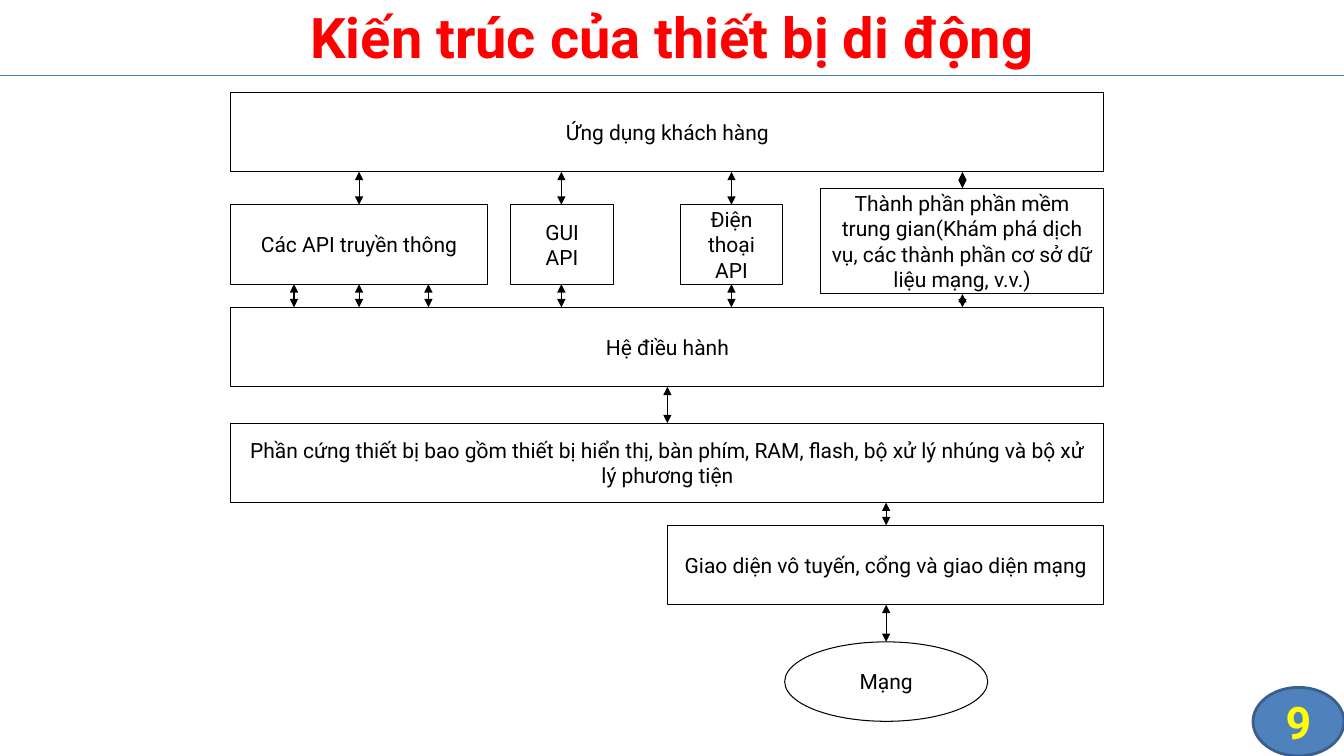
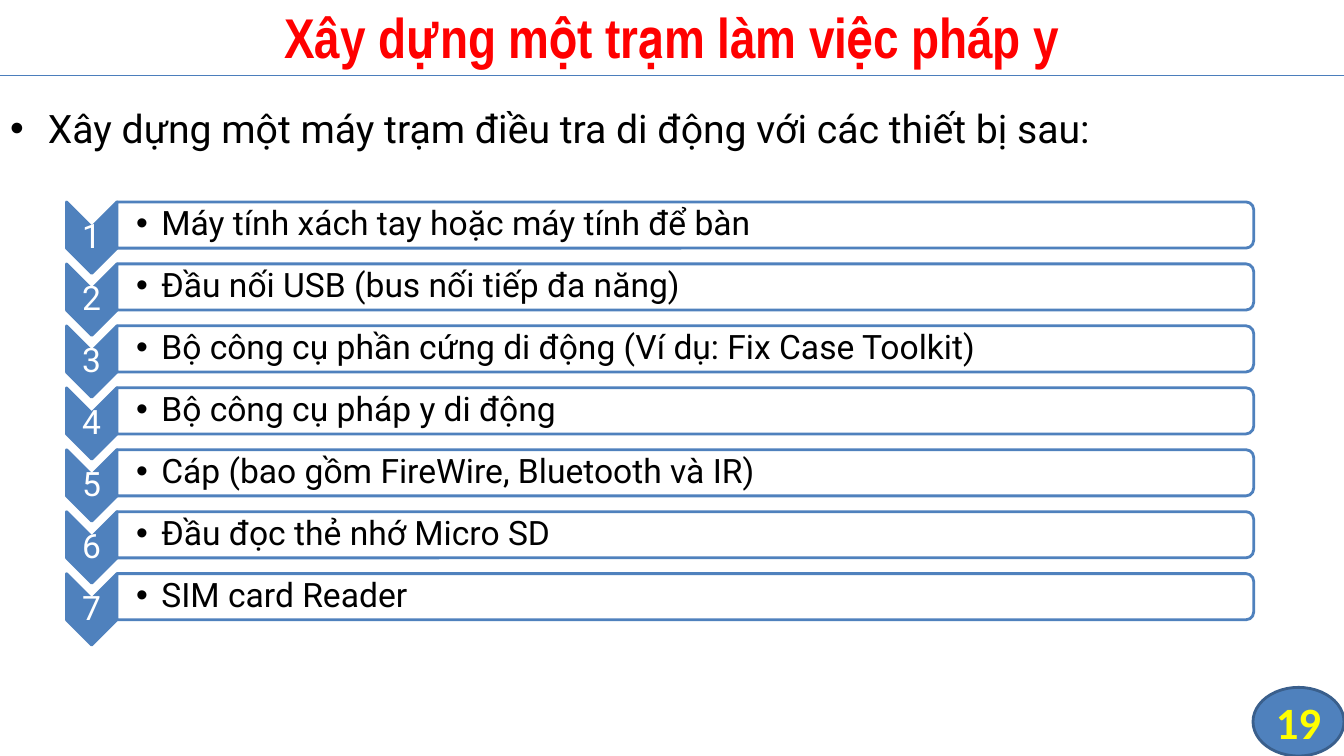
"""Build two slides on mobile device architecture and a forensic workstation."""

import dataclasses
import typing

import lxml.etree
import pptx
import pptx.dml.color
import pptx.enum.shapes
import pptx.enum.text
import pptx.oxml.ns
import pptx.presentation
import pptx.shapes.autoshape
import pptx.shapes.base
import pptx.shapes.connector
import pptx.slide
import pptx.text.text
import pptx.util

Pt = pptx.util.Pt
Shape = pptx.enum.shapes.MSO_SHAPE
Align = pptx.enum.text.PP_ALIGN
Anchor = pptx.enum.text.MSO_ANCHOR

BLUE, DARK_BLUE, RULE_BLUE = "4F81BD", "3A5F8C", "4B7EBC"
RED, YELLOW, BLACK, WHITE = "FF0000", "FFFF00", "000000", "FFFFFF"

SLIDE_WIDTH, SLIDE_HEIGHT = 960, 540
TITLE_TOP, TITLE_HEIGHT = -2, 56
RULE_TOP = 54
BADGE = (895, 491, 65, 49)

BOX_LEFT, BOX_WIDTH, BOX_HEIGHT = 165, 623.5, 56.75
API_TOP = 146.25

STEP_TOP, STEP_PITCH = 144.25, 44.25
CHEVRON_LEFT, CHEVRON_WIDTH, CHEVRON_HEIGHT = 47.5, 36, 51
BAR_WIDTH, BAR_HEIGHT = 812, 33


@dataclasses.dataclass(frozen=True)
class TextStyle:
    """Font and alignment of a text."""

    size: float
    color: str = BLACK
    name: str = "Roboto"
    bold: bool = False
    align: Align = Align.CENTER
    spacing: float = 1.0


@dataclasses.dataclass(frozen=True)
class Box:
    """A labelled block of the architecture diagram."""

    lines: tuple[str, ...]
    top: float
    left: float = BOX_LEFT
    width: float = BOX_WIDTH
    height: float = BOX_HEIGHT
    kind: Shape = Shape.RECTANGLE


@dataclasses.dataclass(frozen=True)
class Link:
    """Two-headed arrows between an upper and a lower block."""

    upper: str
    lower: str
    centers: tuple[float, ...]


LABEL = TextStyle(15)
NUMBER = TextStyle(24, WHITE, spacing=0.9)
ITEM = TextStyle(24, align=Align.LEFT, spacing=0.9)
BODY = TextStyle(28, align=Align.LEFT, spacing=1.14)

BOXES = {
    "client": Box(("Ứng dụng khách hàng",), 66),
    "communication": Box(("Các API truyền thông",), API_TOP, width=183),
    "gui": Box(("GUI", "API"), API_TOP, 365, 73),
    "phone": Box(("Điện thoại", "API"), API_TOP, 486, 73),
    "middleware": Box(
        ("Thành phần phần mềm trung gian(Khám phá dịch vụ, các thành phần cơ sở dữ liệu mạng, v.v.)",),
        134.5, 586, 202.5, 75.5,
    ),
    "system": Box(("Hệ điều hành",), 219.5),
    "hardware": Box(
        ("Phần cứng thiết bị bao gồm thiết bị hiển thị, bàn phím, RAM, flash, bộ xử lý nhúng và bộ xử lý phương tiện",),
        302.25,
    ),
    "radio": Box(("Giao diện vô tuyến, cổng và giao diện mạng",), 375.25, 477, 311.5),
    "network": Box(("Mạng",), 458.5, 560.5, 145, kind=Shape.OVAL),
}

LINKS = (
    Link("client", "communication", (256.5,)),
    Link("client", "gui", (401,)),
    Link("client", "phone", (522.5,)),
    Link("client", "middleware", (687.5,)),
    Link("communication", "system", (210, 256.5, 306)),
    Link("gui", "system", (401,)),
    Link("phone", "system", (522.5,)),
    Link("middleware", "system", (687.5,)),
    Link("system", "hardware", (476.75,)),
    Link("hardware", "radio", (633,)),
    Link("radio", "network", (633,)),
)

EQUIPMENT = (
    "Máy tính xách tay hoặc máy tính để bàn",
    "Đầu nối USB (bus nối tiếp đa năng)",
    "Bộ công cụ phần cứng di động (Ví dụ: Fix Case Toolkit)",
    "Bộ công cụ pháp y di động",
    "Cáp (bao gồm FireWire, Bluetooth và IR)",
    "Đầu đọc thẻ nhớ Micro SD",
    "SIM card Reader",
)


def rgb(color: str) -> pptx.dml.color.RGBColor:
    """Turn a hex string into a colour."""
    return pptx.dml.color.RGBColor.from_string(color)


def add_element(parent: typing.Any, tag: str, **attributes: str) -> None:
    """Append an XML child with the given attributes."""
    lxml.etree.SubElement(parent, pptx.oxml.ns.qn(tag), attributes)


def place(shape: pptx.shapes.base.BaseShape, left: float, top: float, width: float, height: float) -> None:
    """Move and size a shape."""
    shape.left, shape.top, shape.width, shape.height = map(Pt, (left, top, width, height))


def write_text(
    frame: pptx.text.text.TextFrame,
    lines: tuple[str, ...],
    style: TextStyle,
    anchor: Anchor = Anchor.MIDDLE,
    bullet_indent: float = 0,
) -> None:
    """Write one paragraph per line in a common style."""
    frame.word_wrap = True
    frame.auto_size = pptx.enum.text.MSO_AUTO_SIZE.NONE
    frame.vertical_anchor = anchor
    frame.text = "\n".join(lines)
    for paragraph in frame.paragraphs:
        if bullet_indent:
            properties = paragraph._p.get_or_add_pPr()
            properties.set("marL", str(Pt(bullet_indent)))
            properties.set("indent", str(-Pt(bullet_indent)))
            add_element(properties, "a:buFont", typeface="Arial")
            add_element(properties, "a:buChar", char="•")
        paragraph.alignment = style.align
        paragraph.line_spacing = style.spacing
        paragraph.space_before = Pt(0)
        paragraph.font.size = Pt(style.size)
        paragraph.font.name = style.name
        paragraph.font.bold = style.bold
        paragraph.font.color.rgb = rgb(style.color)


def add_label(
    slide: pptx.slide.Slide,
    text: str,
    bounds: tuple[float, float, float, float],
    style: TextStyle,
    margin: float = 0,
    left_margin: float = 0,
    bullet_indent: float = 0,
) -> None:
    """Add a text box with one line of text."""
    frame = slide.shapes.add_textbox(*map(Pt, bounds)).text_frame
    frame.margin_left = Pt(left_margin or margin)
    frame.margin_top = frame.margin_right = frame.margin_bottom = Pt(margin)
    write_text(frame, (text,), style, bullet_indent=bullet_indent)


def add_shape(
    slide: pptx.slide.Slide,
    kind: Shape,
    bounds: tuple[float, float, float, float],
    line: str,
    line_width: float,
    fill: str | None = None,
) -> pptx.shapes.autoshape.Shape:
    """Add a flat preset shape."""
    shape = slide.shapes.add_shape(kind, *map(Pt, bounds))
    shape.shadow.inherit = False
    if fill:
        shape.fill.solid()
        shape.fill.fore_color.rgb = rgb(fill)
    else:
        shape.fill.background()
    shape.line.color.rgb = rgb(line)
    shape.line.width = Pt(line_width)
    return shape


def add_line(
    slide: pptx.slide.Slide,
    start: tuple[float, float],
    end: tuple[float, float],
    color: str,
    arrows: bool = False,
) -> pptx.shapes.connector.Connector:
    """Add a thin straight line, with arrowheads at both ends on request."""
    connector = slide.shapes.add_connector(
        pptx.enum.shapes.MSO_CONNECTOR.STRAIGHT, *map(Pt, (*start, *end))
    )
    connector.line.color.rgb = rgb(color)
    connector.line.width = Pt(0.75)
    if arrows:
        for tag in ("a:headEnd", "a:tailEnd"):
            add_element(connector.line._get_or_add_ln(), tag, type="triangle")
    add_element(connector.element.spPr, "a:effectLst")
    return connector


def prepare_layout(layout: pptx.slide.SlideLayout, slide: pptx.slide.Slide) -> None:
    """Set the shared title and body places, the rule and the badge."""
    title, body = list(layout.placeholders)[:2]
    place(title, 0, TITLE_TOP, SLIDE_WIDTH, TITLE_HEIGHT)
    place(body, 0, 66, SLIDE_WIDTH, 102)
    decorations = (
        add_shape(slide, Shape.FLOWCHART_CONNECTOR, BADGE, DARK_BLUE, 2, BLUE),
        add_line(slide, (0, RULE_TOP), (SLIDE_WIDTH, RULE_TOP), RULE_BLUE),
    )
    for identifier, shape in enumerate(decorations, start=20):
        shape.element.xpath(".//p:cNvPr")[0].set("id", str(identifier))
        layout.shapes.element.append(shape.element)


def add_heading(slide: pptx.slide.Slide, title: str, title_font: str, number: int, number_font: str) -> None:
    """Write the title and the number in the badge."""
    write_text(slide.shapes.title.text_frame, (title,), TextStyle(40, RED, title_font, True))
    add_label(slide, str(number), BADGE, TextStyle(32, YELLOW, number_font, True))


def draw_architecture(slide: pptx.slide.Slide) -> None:
    """Draw the layers of a mobile device and their links."""
    for box in BOXES.values():
        bounds = (box.left, box.top, box.width, box.height)
        shape = add_shape(slide, box.kind, bounds, BLACK, 0.75)
        write_text(shape.text_frame, box.lines, LABEL)
    for link in LINKS:
        upper, lower = BOXES[link.upper], BOXES[link.lower]
        for center in link.centers:
            add_line(slide, (center, lower.top), (center, upper.top + upper.height), BLACK, arrows=True)


def draw_step(slide: pptx.slide.Slide, index: int, text: str) -> None:
    """Draw one numbered chevron and its bar."""
    top = STEP_TOP + index * STEP_PITCH
    turn = (CHEVRON_HEIGHT - CHEVRON_WIDTH) / 2
    chevron_bounds = (CHEVRON_LEFT - turn, top + turn, CHEVRON_HEIGHT, CHEVRON_WIDTH)
    add_shape(slide, Shape.CHEVRON, chevron_bounds, BLUE, 2, BLUE).rotation = 90
    add_label(slide, str(index + 1), (CHEVRON_LEFT, top + 18, CHEVRON_WIDTH, 15), NUMBER, 1.25)
    bar_left = CHEVRON_LEFT + CHEVRON_WIDTH
    turn = (BAR_WIDTH - BAR_HEIGHT) / 2
    bar_bounds = (bar_left + turn, top - turn, BAR_HEIGHT, BAR_WIDTH)
    add_shape(slide, Shape.ROUND_2_SAME_RECTANGLE, bar_bounds, BLUE, 2, WHITE).rotation = 90
    add_label(slide, text, (bar_left, top + 1.5, BAR_WIDTH - 1.5, 30), ITEM, 1.25, 13.75, 18)


def main() -> None:
    """Build and save the presentation."""
    presentation = pptx.Presentation()
    presentation.slide_width, presentation.slide_height = Pt(SLIDE_WIDTH), Pt(SLIDE_HEIGHT)
    layout = presentation.slide_layouts[1]

    architecture = presentation.slides.add_slide(layout)
    prepare_layout(layout, architecture)
    empty_body = architecture.placeholders[1].element
    empty_body.getparent().remove(empty_body)
    add_heading(architecture, "Kiến trúc của thiết bị di động", "Roboto", 9, "Roboto")
    draw_architecture(architecture)

    workstation = presentation.slides.add_slide(layout)
    add_heading(workstation, "Xây dựng một trạm làm việc pháp y", "Arial Narrow", 19, "Calibri")
    introduction = "Xây dựng một máy trạm điều tra di động với các thiết bị sau:"
    write_text(workstation.placeholders[1].text_frame, (introduction,), BODY, Anchor.TOP)
    for index, text in enumerate(EQUIPMENT):
        draw_step(workstation, index, text)

    presentation.save("out.pptx")


if __name__ == "__main__":
    main()
